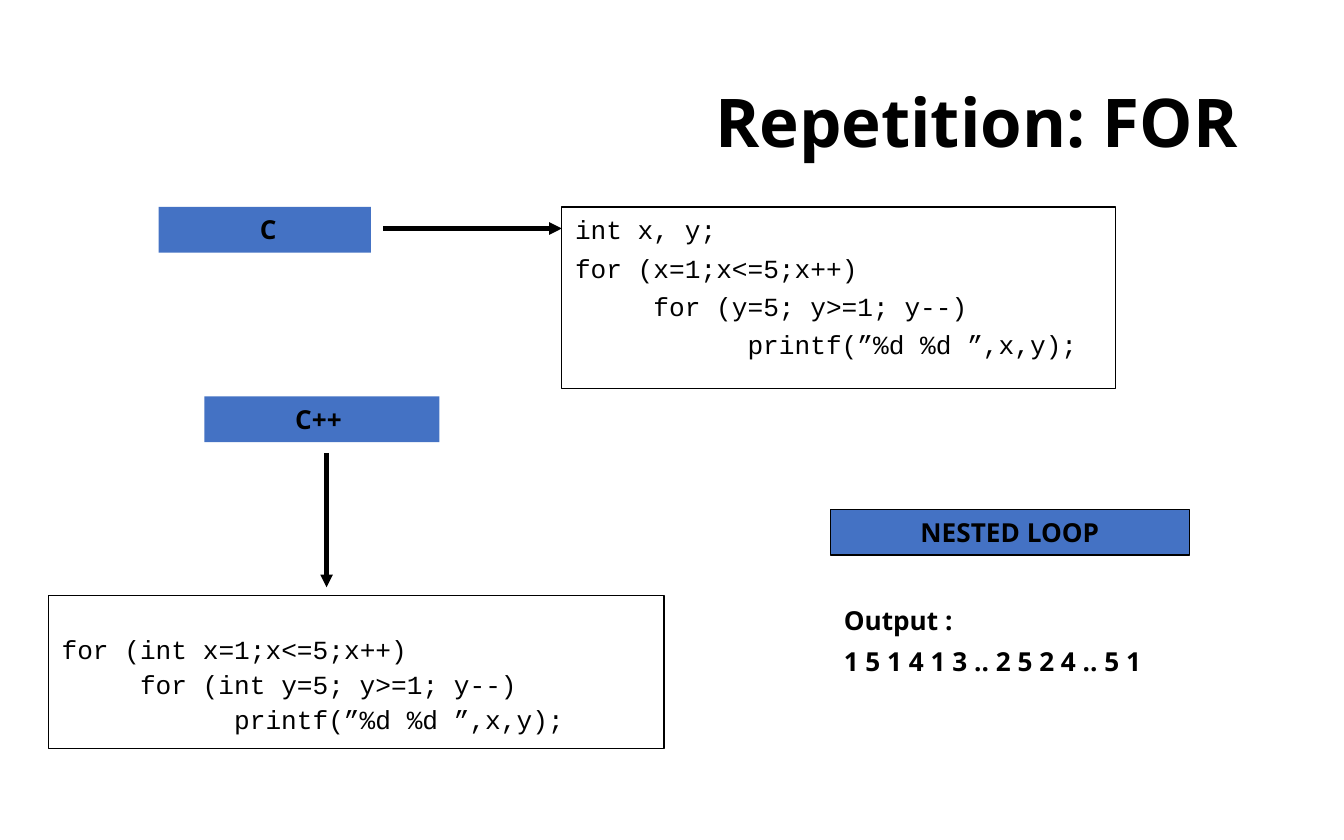
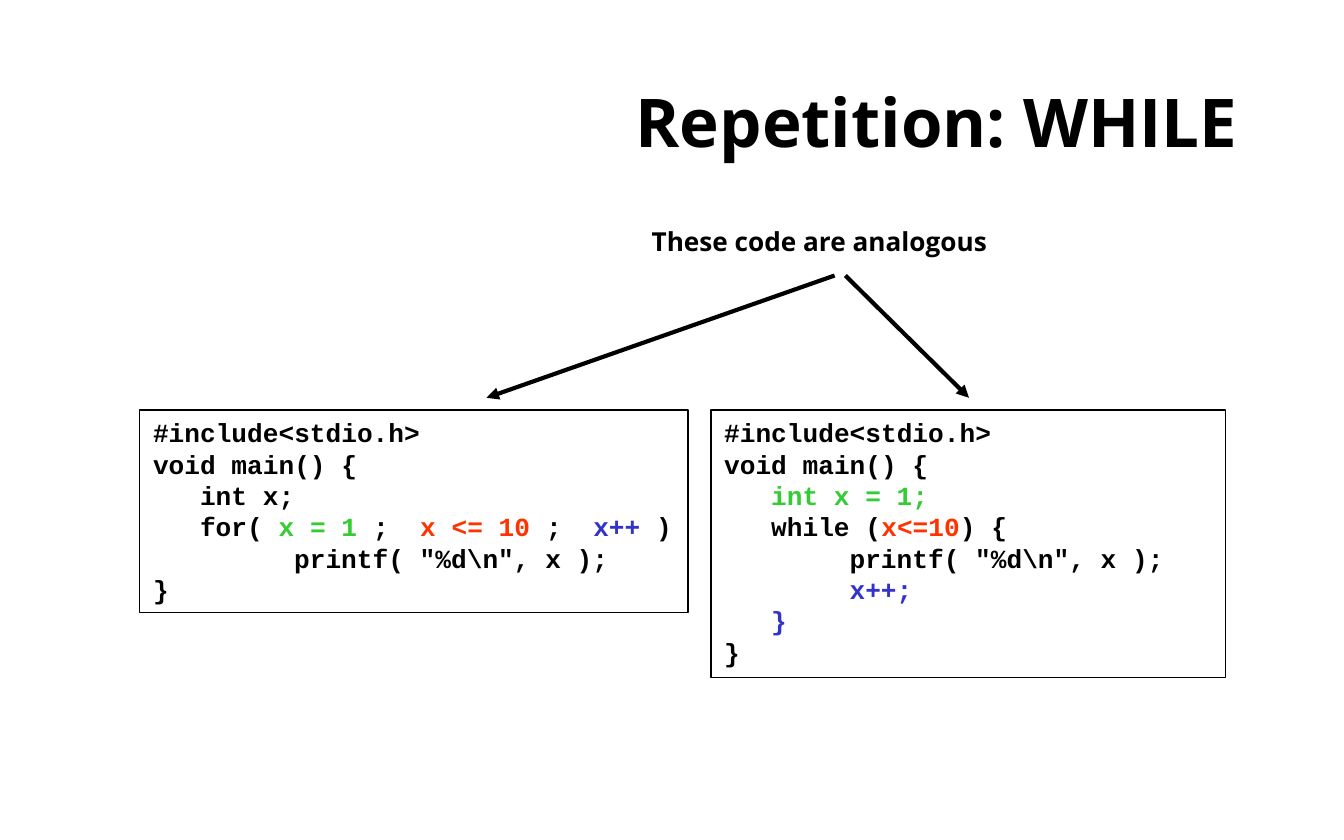
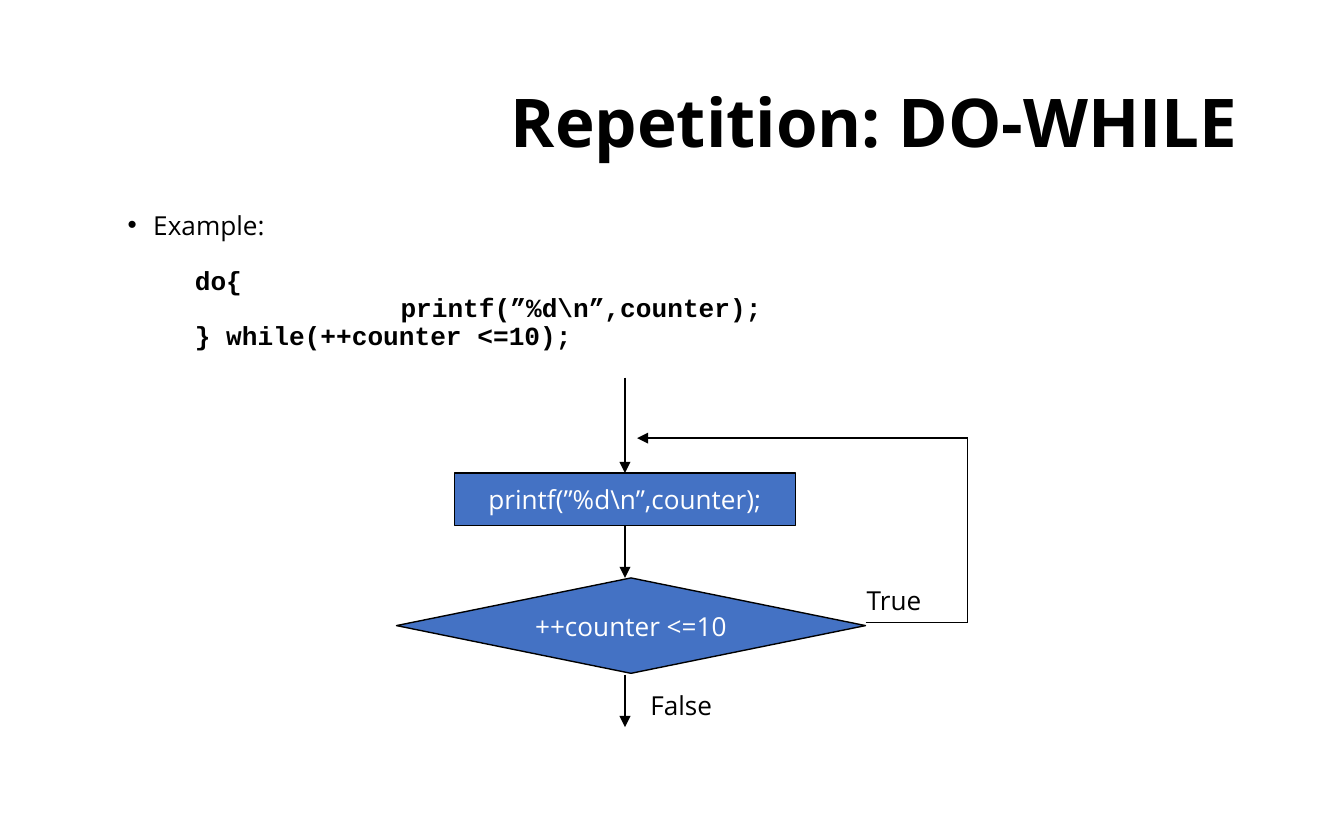
from itertools import pairwise

from lxml.etree import SubElement
from pptx import Presentation
from pptx.dml.color import RGBColor
from pptx.enum.shapes import MSO_CONNECTOR, MSO_SHAPE
from pptx.enum.text import MSO_ANCHOR, MSO_AUTO_SIZE, PP_ALIGN
from pptx.oxml.ns import qn
from pptx.util import Pt

SCALE = 9144
COLUMN = 11.67
COLORS = {
    "ink": "000000",
    "paper": "FFFFFF",
    "accent": "4472C4",
    "start": "33CC33",
    "test": "FF3300",
    "step": "3333CC",
}
SANS = "Open Sans"
MONO = "Courier New"


def px(length):
    return round(length * SCALE)


def color(name):
    return RGBColor.from_string(COLORS[name])


def indent(para, left, hanging=0, bullet=None):
    properties = para._p.get_or_add_pPr()
    properties.set("marL", str(px(left)))
    properties.set("indent", str(px(-hanging)))
    if bullet:
        SubElement(properties, qn("a:buFont"), typeface="Arial")
        SubElement(properties, qn("a:buChar"), char=bullet)
    else:
        SubElement(properties, qn("a:buNone"))


def write(para, spans, font=SANS, size=14, ink="ink", bold=False,
          align=PP_ALIGN.LEFT, spacing=1.0, before=0):
    para.alignment = align
    para.line_spacing = spacing
    para.space_before = Pt(before)
    for text, tint in [(spans, ink)] if isinstance(spans, str) else spans:
        span = para.add_run()
        span.text = text
        span.font.name = font
        span.font.size = Pt(size)
        span.font.bold = bold
        span.font.color.rgb = color(tint)


def paragraphs(frame, count):
    return [frame.paragraphs[0]] + [frame.add_paragraph() for _ in range(count - 1)]


class Lesson:
    def __init__(self):
        self.deck = Presentation()
        self.deck.slide_width, self.deck.slide_height = px(1000), px(625)
        self.page = None

    def new_page(self, title, layout="Title Only"):
        self.page = self.deck.slides.add_slide(self.deck.slide_layouts.get_by_name(layout))
        frame = self.place(self.page.shapes.title, 219, 33, 712, 121)
        frame.vertical_anchor = MSO_ANCHOR.MIDDLE
        write(frame.paragraphs[0], title, size=36, bold=True,
              align=PP_ALIGN.RIGHT, spacing=0.9)

    def place(self, holder, left, top, width, height):
        holder.left, holder.top = px(left), px(top)
        holder.width, holder.height = px(width), px(height)
        holder.text_frame.auto_size = MSO_AUTO_SIZE.NONE
        return holder.text_frame

    def body(self, left, top, width, height):
        return self.place(self.page.placeholders[1], left, top, width, height)

    def box(self, left, top, width, height, fill=None, outline=True,
            kind=MSO_SHAPE.RECTANGLE, anchor=MSO_ANCHOR.TOP, wrap=True):
        box = self.page.shapes.add_shape(kind, px(left), px(top), px(width), px(height))
        box.shadow.inherit = False
        if fill:
            box.fill.solid()
            box.fill.fore_color.rgb = color(fill)
        else:
            box.fill.background()
        if outline:
            box.line.color.rgb = color("ink")
            box.line.width = Pt(0.75)
        else:
            box.line.fill.background()
        box.text_frame.vertical_anchor = anchor
        box.text_frame.word_wrap = wrap
        return box

    def badge(self, text, left, top, width, outline=False):
        box = self.box(left, top, width, 34, "accent", outline)
        write(box.text_frame.paragraphs[0], text, bold=True, align=PP_ALIGN.CENTER)

    def code(self, lines, left, top, width, height, inset=5, **style):
        frame = self.box(left, top, width, height).text_frame
        frame.margin_top = px(inset)
        for para, (columns, spans) in zip(paragraphs(frame, len(lines)), lines):
            indent(para, columns * COLUMN)
            write(para, spans, font=MONO, **style)

    def step(self, text, left, top, width, height, kind=MSO_SHAPE.RECTANGLE):
        box = self.box(left, top, width, height, "accent", kind=kind,
                       anchor=MSO_ANCHOR.MIDDLE, wrap=False)
        write(box.text_frame.paragraphs[0], text, ink="paper", align=PP_ALIGN.CENTER)
        return box

    def label(self, text, left, top, width, height, **style):
        frame = self.page.shapes.add_textbox(px(left), px(top), px(width), px(height)).text_frame
        frame.word_wrap = True
        write(frame.paragraphs[0], text, **style)

    def line(self, start, end, weight=2.25, arrow=True):
        line = self.page.shapes.add_connector(
            MSO_CONNECTOR.STRAIGHT, *map(px, start), *map(px, end))
        line.line.color.rgb = color("ink")
        line.line.width = Pt(weight)
        if arrow:
            SubElement(line.line._get_or_add_ln(), qn("a:tailEnd"), type="triangle")
        SubElement(line._element.spPr, qn("a:effectLst"))
        return line


def for_page(lesson):
    lesson.new_page("Repetition: FOR")
    print_line = (11, "printf(”%d %d ”,x,y);")
    lesson.code([(0, "for (int x=1;x<=5;x++)"),
                 (5, "for (int y=5; y>=1; y--)"),
                 print_line],
                36, 443, 458, 114, inset=31, spacing=0.9, before=3.7)
    output = lesson.box(618, 445, 350, 69, "paper", outline=False).text_frame
    for para, text in zip(paragraphs(output, 2), ("Output :", "1 5 1 4 1 3 .. 2 5 2 4 .. 5 1")):
        write(para, text, bold=True, before=5)
    lesson.code([(0, "int x, y;"),
                 (0, "for (x=1;x<=5;x++)"),
                 (5, "for (y=5; y>=1; y--)"),
                 print_line],
                418, 154, 412, 135, before=3.7)
    lesson.badge(" C", 118, 154, 158)
    lesson.badge("C++ ", 152, 295, 175)
    lesson.line((243, 337), (243, 437))
    lesson.line((285, 170), (418, 170))
    lesson.badge("NESTED LOOP", 618, 379, 267, outline=True)


def while_page(lesson):
    lesson.new_page("Repetition: WHILE")
    opening = [(0, "#include<stdio.h>"), (0, "void main() {")]
    print_text = r'printf( "%d\n", x );'
    closing = (0, "}")
    for_lines = [
        *opening,
        (3, "int x;"),
        (3, [("for(", "ink"), (" x = 1", "start"), (" ;  ", "ink"), ("x <= 10", "test"),
             (" ;  ", "ink"), ("x++", "step"), (" )", "ink")]),
        (9, print_text),
        closing,
    ]
    while_lines = [
        *opening,
        (3, [("int x = 1;", "start")]),
        (3, [("while (", "ink"), ("x<=10", "test"), (") {", "ink")]),
        (8, print_text),
        (8, [("x++;", "step")]),
        (3, [("}", "step")]),
        closing,
    ]
    lesson.code(for_lines, 104, 305, 408, 151, bold=True)
    lesson.code(while_lines, 529, 305, 383, 199, bold=True)
    lesson.label("These code are analogous", 475, 163, 292, 34, bold=True)
    lesson.line((621, 205), (362, 296))
    lesson.line((629, 205), (721, 296))


def do_while_page(lesson):
    lesson.new_page("Repetition: DO-WHILE", "Title and Content")
    lines = ["do{", r"printf(”%d\n”,counter);", "} while(++counter <=10);"]
    example, *code = paragraphs(lesson.body(85, 155, 885, 412), 1 + len(lines))
    write(example, "Example:", spacing=0.8, before=7.5)
    indent(example, 19, 19, "•")
    for para, text, left, before in zip(code, lines, (50, 203, 50), (16, 1.3, 1.3)):
        para.level = 1
        write(para, text, font=MONO, bold=True, spacing=0.8, before=before)
        indent(para, left)

    axis, thin = 465, 0.75
    action = lesson.step(lines[1], 338, 352, 254, 39)
    entry = lesson.line((axis, 281), (axis, 352), thin)
    entry.end_connect(action, 0)
    lesson.step("++counter <=10", 295, 430, 349, 71, MSO_SHAPE.FLOWCHART_DECISION)
    check = lesson.line((axis, 391), (axis, 430), thin)
    check.begin_connect(action, 2)
    loop_back = [(644, 463), (720, 463), (720, 326), (474, 326)]
    for start, end in pairwise(loop_back):
        lesson.line(start, end, thin, arrow=end == loop_back[-1])
    lesson.line((axis, 502), (axis, 541), thin)
    lesson.label("True", 635, 430, 68, 57)
    lesson.label("False", 474, 508, 85, 57)


def main():
    lesson = Lesson()
    for build in (for_page, while_page, do_while_page):
        build(lesson)
    lesson.deck.save("out.pptx")


if __name__ == "__main__":
    main()
